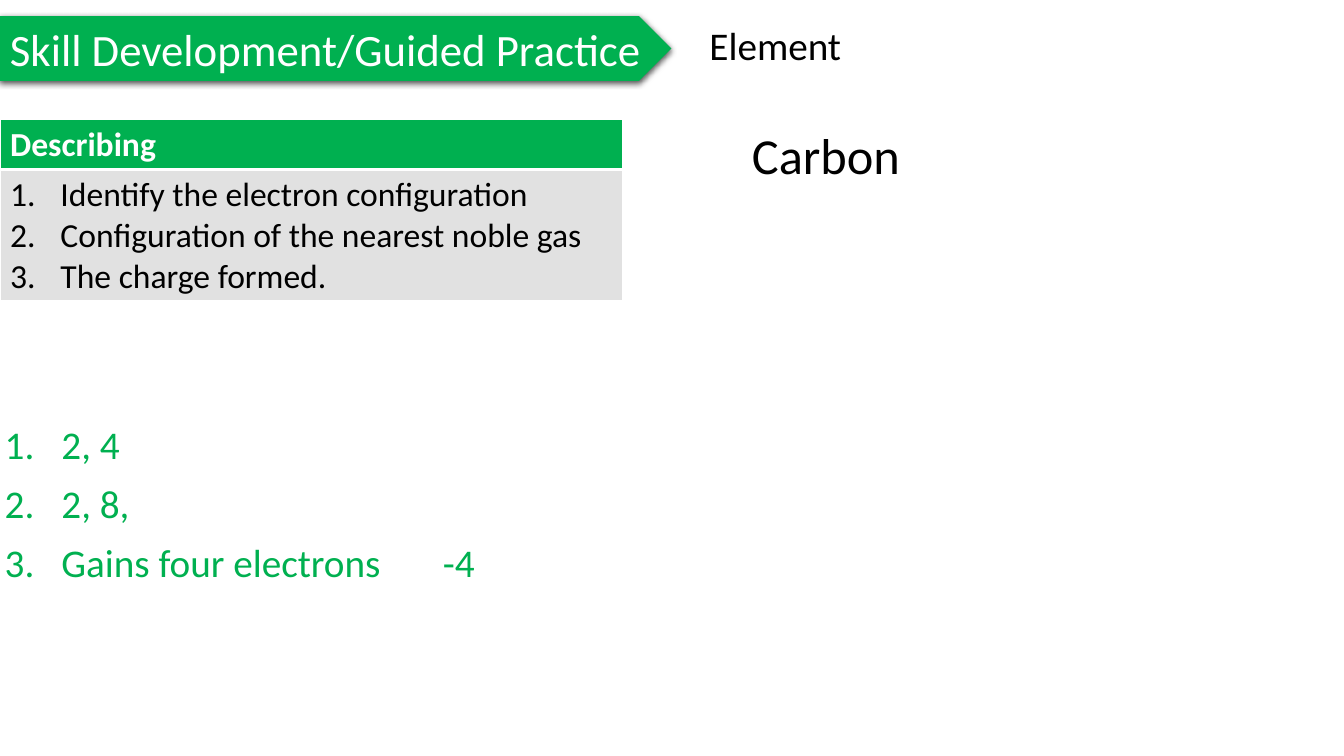
from lxml.etree import SubElement
from pptx import Presentation
from pptx.dml.color import RGBColor
from pptx.enum.shapes import MSO_SHAPE
from pptx.enum.text import MSO_AUTO_SIZE, PP_ALIGN
from pptx.oxml.ns import qn
from pptx.util import Cm, Pt

COLORS = {"green": "00B050", "grey": "E1E1E1", "white": "FFFFFF", "black": "000000"}


class SlideBuilder:
    """Hold the lesson style and add elements to the current slide."""

    font = "Calibri"

    def __init__(self, prs):
        self.s = prs.slides.add_slide(prs.slide_layouts[6])

    def color(self, name):
        return RGBColor.from_string(COLORS[name])

    def run(self, p, text, size, color, bold=False):
        r = p.add_run()
        r.text = text
        r.font.name = self.font
        r.font.size = Pt(size)
        r.font.bold = bold
        r.font.color.rgb = self.color(color)

    def numbered(self, tf, items, size, color, indent, after=0, spacing=1.0, tab=None):
        for i, text in enumerate(items):
            p = tf.add_paragraph() if i else tf.paragraphs[0]
            p.line_spacing = spacing
            p.space_after = Pt(after)
            pPr = p._p.get_or_add_pPr()
            pPr.set("marL", str(Cm(indent)))
            pPr.set("indent", str(-Cm(indent)))
            SubElement(pPr, qn("a:buFont"), typeface="+mj-lt")
            SubElement(pPr, qn("a:buAutoNum"), type="arabicPeriod")
            if tab:
                tabs = SubElement(pPr, qn("a:tabLst"))
                SubElement(tabs, qn("a:tab"), pos=str(Cm(tab)), algn="l")
            self.run(p, text, size, color)

    def banner(self, text, x, y, w, h):
        sp = self.s.shapes.add_shape(MSO_SHAPE.PENTAGON, Cm(x), Cm(y), Cm(w), Cm(h))
        sp.fill.solid()
        sp.fill.fore_color.rgb = self.color("green")
        sp.line.fill.background()
        sp.shadow.inherit = False
        effects = sp._element.spPr.find(qn("a:effectLst"))
        shadow = SubElement(effects, qn("a:outerShdw"), blurRad=str(Pt(4.5)),
                            dist=str(Pt(1.5)), dir="5400000", algn="ctr", rotWithShape="0")
        clr = SubElement(shadow, qn("a:srgbClr"), val=COLORS["black"])
        SubElement(clr, qn("a:alpha"), val="63000")
        tf = sp.text_frame
        tf.word_wrap = False
        tf.auto_size = MSO_AUTO_SIZE.SHAPE_TO_FIT_TEXT
        p = tf.paragraphs[0]
        p.alignment = PP_ALIGN.LEFT
        self.run(p, text, 32, "white")

    def text_box(self, x, y, w, h):
        tf = self.s.shapes.add_textbox(Cm(x), Cm(y), Cm(w), Cm(h)).text_frame
        tf.word_wrap = True
        return tf

    def label(self, text, size, x, y, w, h):
        tf = self.text_box(x, y, w, h)
        tf.auto_size = MSO_AUTO_SIZE.SHAPE_TO_FIT_TEXT
        self.run(tf.paragraphs[0], text, size, "black")

    def style_cell(self, cell, fill, bottom):
        tcPr = cell._tc.get_or_add_tcPr()
        for side, width in (("L", 1), ("R", 1), ("T", 1), ("B", bottom)):
            ln = SubElement(tcPr, qn(f"a:ln{side}"), w=str(Pt(width)))
            SubElement(SubElement(ln, qn("a:solidFill")), qn("a:srgbClr"), val=COLORS["white"])
        cell.fill.solid()
        cell.fill.fore_color.rgb = self.color(fill)

    def skill_table(self, title, steps, x, y, w, heights):
        frame = self.s.shapes.add_table(2, 1, Cm(x), Cm(y), Cm(w), Cm(sum(heights)))
        table = frame.table
        for row, h in zip(table.rows, heights):
            row.height = Cm(h)
        head, body = table.cell(0, 0), table.cell(1, 0)
        self.style_cell(head, "green", 3)
        self.style_cell(body, "grey", 1)
        self.run(head.text_frame.paragraphs[0], title, 24, "white", True)
        self.numbered(body.text_frame, steps, 24, "black", 1.27)


def main():
    prs = Presentation()
    prs.slide_width, prs.slide_height = Cm(33.87), Cm(19.05)
    b = SlideBuilder(prs)
    b.banner("Skill Development/Guided Practice", 0, 0.41, 16.92, 1.63)
    b.skill_table("Describing",
                  ["Identify the electron configuration",
                   "Configuration of the nearest noble gas",
                   "The charge formed."],
                  0, 3, 15.7, [1.14, 2.97])
    b.numbered(b.text_box(-0.13, 10.6, 24.16, 7.14),
               ["2, 4", "2, 8,", "Gains four electrons\t-4"],
               28, "green", 1.43, after=12, spacing=0.9, tab=11.04)
    b.label("Element", 28, 17.63, 0.41, 15.4, 1.45)
    b.label("Carbon", 36, 18.7, 3, 7.3, 1.8)
    prs.save("out.pptx")


if __name__ == "__main__":
    main()
